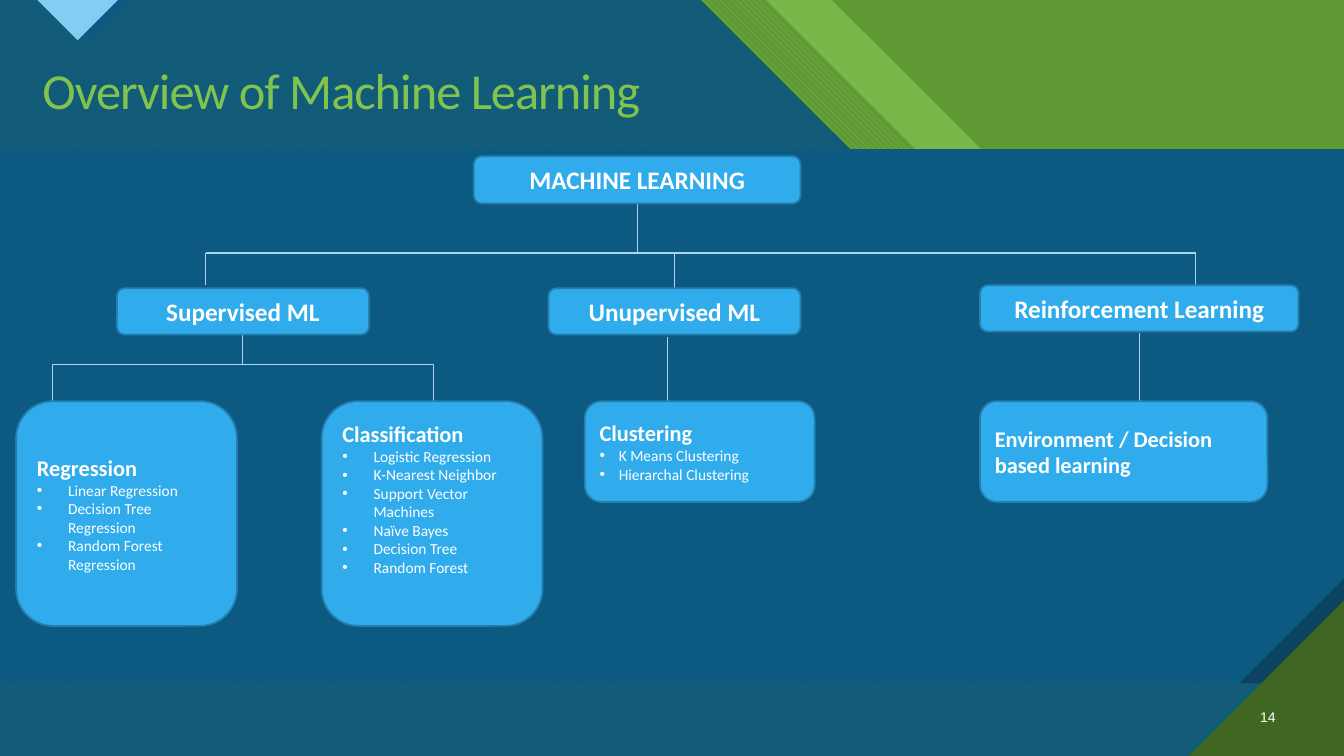
import pptx
import pptx.dml.color
import pptx.enum.dml
import pptx.enum.shapes
import pptx.enum.text
import pptx.oxml
import pptx.oxml.ns
import pptx.util
from pptx.util import Inches

RGBColor = pptx.dml.color.RGBColor
Pattern = pptx.enum.dml.MSO_PATTERN
Preset = pptx.enum.shapes.MSO_SHAPE
Align = pptx.enum.text.PP_ALIGN
Anchor = pptx.enum.text.MSO_ANCHOR

GREEN = RGBColor(0x5F, 0x99, 0x34)
LIGHT_GREEN = RGBColor(0x80, 0xC3, 0x4F)
STRIPE_GREEN = RGBColor(0x77, 0xB8, 0x48)
DARK_GREEN = RGBColor(0x3F, 0x66, 0x23)
BLUE = RGBColor(0x0C, 0x5A, 0x82)
DARK_BLUE = RGBColor(0x0C, 0x43, 0x60)
PALE_BLUE = RGBColor(0x83, 0xCD, 0xF4)
BOX_BLUE = RGBColor(0x30, 0xAC, 0xEC)
BOX_EDGE = RGBColor(0x24, 0x7F, 0xAF)
LINE_BLUE = RGBColor(0xAE, 0xD2, 0xF4)
WHITE = RGBColor(0xFF, 0xFF, 0xFF)

WIDTH, HEIGHT = 13.33, 7.5
PANEL_TOP, PANEL_BOTTOM = 1.48, 6.78

# text, left, top, width, height
HEADINGS = [
    ("MACHINE LEARNING", 4.7, 1.55, 3.24, 0.47),
    ("Supervised ML", 1.16, 2.86, 2.5, 0.46),
    ("Reinforcement Learning", 9.72, 2.83, 3.16, 0.46),
    ("Unupervised ML", 5.44, 2.86, 2.5, 0.46),
]
# heading, methods, bullet indent, left, width, height, bottom inset
METHOD_BOXES = [
    ("Regression",
     ["Linear Regression", "Decision Tree Regression", "Random Forest Regression"],
     0.31, 0.16, 2.19, 2.23, 0.05),
    ("Classification",
     ["Logistic Regression", "K-Nearest Neighbor", "Support Vector Machines",
      "Naïve Bayes", "Decision Tree", "Random Forest"],
     0.31, 3.19, 2.19, 2.23, 0.35),
    ("Clustering", ["K Means Clustering", "Hierarchal Clustering"],
     0.19, 5.8, 2.28, 1, 0.05),
    ("Environment / Decision based learning", [], 0, 9.72, 2.85, 1, 0.05),
]
METHOD_TOP = 3.98
UPPER_BRANCH, LOWER_BRANCH = 2.51, 3.62
# start x, start y, end x, end y
BRANCHES = [
    (6.32, 2.02, 6.32, UPPER_BRANCH),
    (2.04, UPPER_BRANCH, 11.86, UPPER_BRANCH),
    (2.04, UPPER_BRANCH, 2.04, 2.83),
    (11.86, UPPER_BRANCH, 11.86, 2.83),
    (6.69, 2.5, 6.69, 2.86),
    (2.41, 3.32, 2.41, LOWER_BRANCH),
    (0.52, LOWER_BRANCH, 4.3, LOWER_BRANCH),
    (0.52, LOWER_BRANCH, 0.52, METHOD_TOP),
    (4.3, LOWER_BRANCH, 4.3, METHOD_TOP),
    (6.62, 3.34, 6.62, METHOD_TOP),
    (11.3, 3.3, 11.3, METHOD_TOP),
]


def add_polygon(slide, points, color, pattern=None, back_color=None, opacity=None):
    corners = [(Inches(x), Inches(y)) for x, y in points]
    builder = slide.shapes.build_freeform(*corners[0])
    builder.add_line_segments(corners[1:], close=True)
    shape = builder.convert_to_shape()
    shape.shadow.inherit = False
    shape.line.fill.background()
    if pattern is None:
        shape.fill.solid()
        shape.fill.fore_color.rgb = color
    else:
        shape.fill.patterned()
        shape.fill.pattern = pattern
        shape.fill.fore_color.rgb = color
        shape.fill.back_color.rgb = back_color
    if opacity is not None:
        color_element = shape.fill._xPr.find(".//" + pptx.oxml.ns.qn("a:srgbClr"))
        alpha = pptx.oxml.parse_xml(
            f'<a:alpha {pptx.oxml.ns.nsdecls("a")} val="{opacity * 1000}"/>')
        color_element.append(alpha)


def add_bullet(paragraph, indent):
    properties = paragraph._p.get_or_add_pPr()
    properties.set("marL", str(Inches(indent)))
    properties.set("indent", str(-Inches(indent)))
    for tag in ('buFont typeface="Arial"', 'buChar char="•"'):
        properties.append(pptx.oxml.parse_xml(
            f'<a:{tag} {pptx.oxml.ns.nsdecls("a")}/>'))


def write_text(paragraph, text, size=18, color=WHITE, font="Calibri", bold=False,
               align=Align.LEFT, spacing=None, bullet_indent=None):
    paragraph.alignment = align
    run = paragraph.add_run()
    run.text = text
    run.font.size = pptx.util.Pt(size)
    run.font.name = font
    run.font.bold = bold
    run.font.color.rgb = color
    if spacing is not None:
        run.font._element.set("spc", str(round(spacing * 100)))
    if bullet_indent is not None:
        add_bullet(paragraph, bullet_indent)


def add_label(slide, text, left, top, width, height, anchor=Anchor.TOP, **text_format):
    box = slide.shapes.add_textbox(*map(Inches, (left, top, width, height)))
    box.text_frame.word_wrap = True
    box.text_frame.vertical_anchor = anchor
    write_text(box.text_frame.paragraphs[0], text, **text_format)


def add_rounded_box(slide, left, top, width, height):
    """Add an empty box and return its text frame."""
    shape = slide.shapes.add_shape(
        Preset.ROUNDED_RECTANGLE, *map(Inches, (left, top, width, height)))
    shape.shadow.inherit = False
    shape.fill.solid()
    shape.fill.fore_color.rgb = BOX_BLUE
    shape.line.color.rgb = BOX_EDGE
    shape.line.width = pptx.util.Pt(1.25)
    shape.text_frame.word_wrap = True
    shape.text_frame.vertical_anchor = Anchor.MIDDLE
    return shape.text_frame


def add_method_box(slide, heading, methods, indent, left, width, height, bottom_inset):
    frame = add_rounded_box(slide, left, METHOD_TOP, width, height)
    frame.margin_bottom = Inches(bottom_inset)
    write_text(frame.paragraphs[0], heading, size=16, bold=True)
    for method in methods:
        write_text(frame.add_paragraph(), method, size=11, bullet_indent=indent)


def add_branch(slide, *ends):
    line = slide.shapes.add_connector(
        pptx.enum.shapes.MSO_CONNECTOR.STRAIGHT, *map(Inches, ends))
    line.line.color.rgb = LINE_BLUE
    line.line.width = pptx.util.Pt(0.75)
    line._element.spPr.append(pptx.oxml.parse_xml(
        f'<a:effectLst {pptx.oxml.ns.nsdecls("a")}/>'))


def diagonal_stripe(left, right):
    """Return the corners of a header stripe that falls at 45 degrees."""
    return [(left, 0), (right, 0), (right + PANEL_TOP, PANEL_TOP),
            (left + PANEL_TOP, PANEL_TOP)]


def add_backdrop(slide):
    slide.background.fill.solid()
    slide.background.fill.fore_color.rgb = GREEN
    add_polygon(slide, diagonal_stripe(7.6, 8.25), STRIPE_GREEN)
    add_polygon(slide, diagonal_stripe(6.95, 7.6), LIGHT_GREEN,
                Pattern.WIDE_DOWNWARD_DIAGONAL, GREEN)
    field = [(0, 0), (6.95, 0), (9.92, 2.97), (WIDTH, 2.97), (WIDTH, HEIGHT), (0, HEIGHT)]
    add_polygon(slide, field, LIGHT_GREEN, Pattern.WIDE_UPWARD_DIAGONAL, DARK_GREEN)
    add_polygon(slide, field, BLUE, opacity=90)
    add_polygon(slide, [(0.48, 0), (1.31, 0), (0.9, 0.41)], BLUE)
    add_polygon(slide, [(0.37, 0), (1.17, 0), (0.77, 0.4)], PALE_BLUE)
    add_polygon(slide, [(0, PANEL_TOP), (WIDTH, PANEL_TOP), (WIDTH, PANEL_BOTTOM),
                        (0, PANEL_BOTTOM)], BLUE)
    add_polygon(slide, [(WIDTH, 5.74), (WIDTH, PANEL_BOTTOM), (12.29, PANEL_BOTTOM)],
                DARK_BLUE)
    add_polygon(slide, [(11.79, HEIGHT), (WIDTH, HEIGHT), (WIDTH, 5.96)], DARK_GREEN)


def main():
    presentation = pptx.Presentation()
    presentation.slide_width = Inches(WIDTH)
    presentation.slide_height = Inches(HEIGHT)
    slide = presentation.slides.add_slide(presentation.slide_layouts[6])
    add_backdrop(slide)
    add_label(slide, "Overview of Machine Learning", 0.08, 0.54, 6.61, 0.71,
              size=36, color=LIGHT_GREEN, align=Align.CENTER, spacing=-0.7)
    add_label(slide, "14", 12.31, 6.91, 0.44, 0.4, anchor=Anchor.MIDDLE,
              size=10, font="Arial", align=Align.RIGHT)
    for branch in BRANCHES:
        add_branch(slide, *branch)
    for text, *place in HEADINGS:
        frame = add_rounded_box(slide, *place)
        write_text(frame.paragraphs[0], text, bold=True, align=Align.CENTER)
    for method_box in METHOD_BOXES:
        add_method_box(slide, *method_box)
    presentation.save("out.pptx")


if __name__ == "__main__":
    main()
